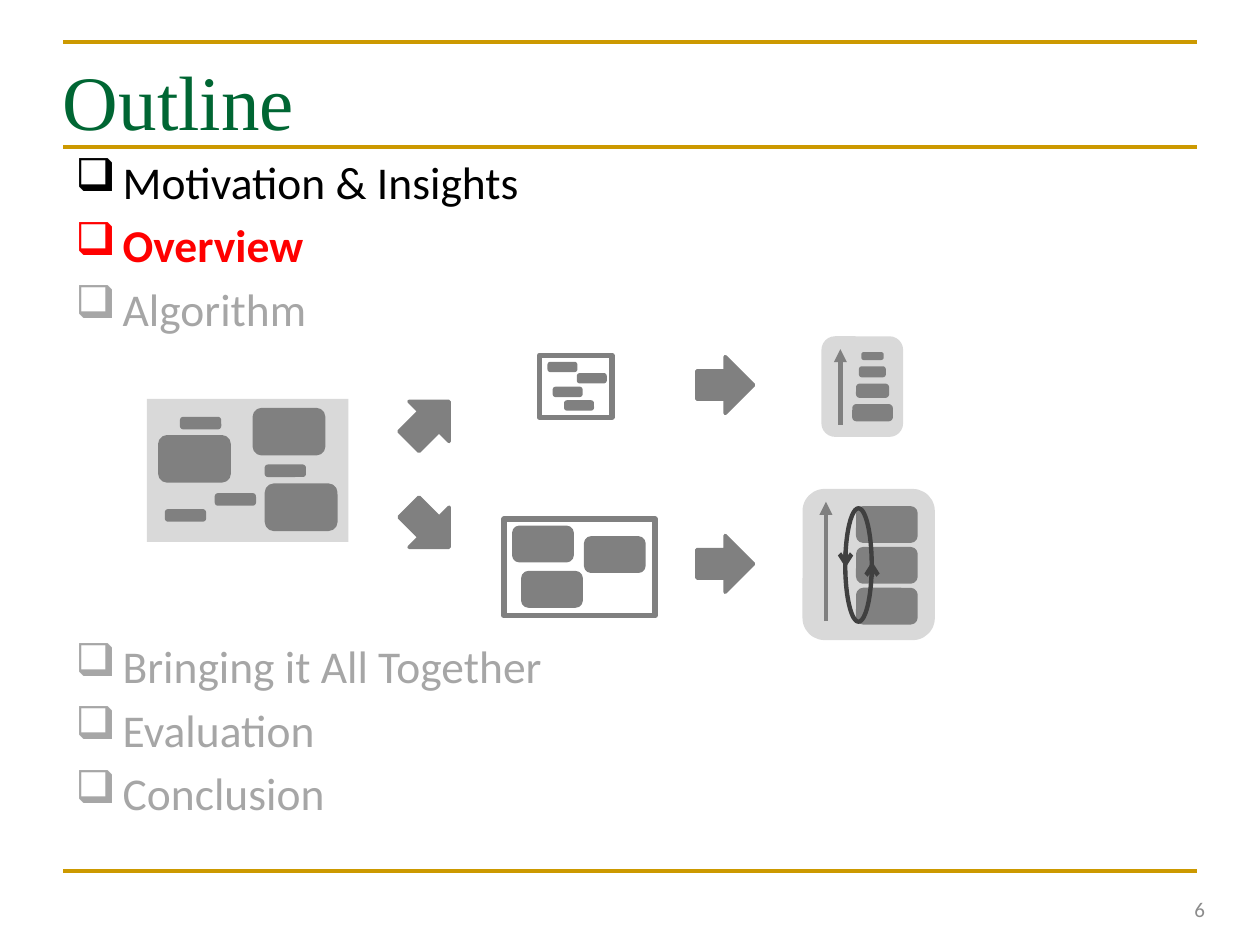
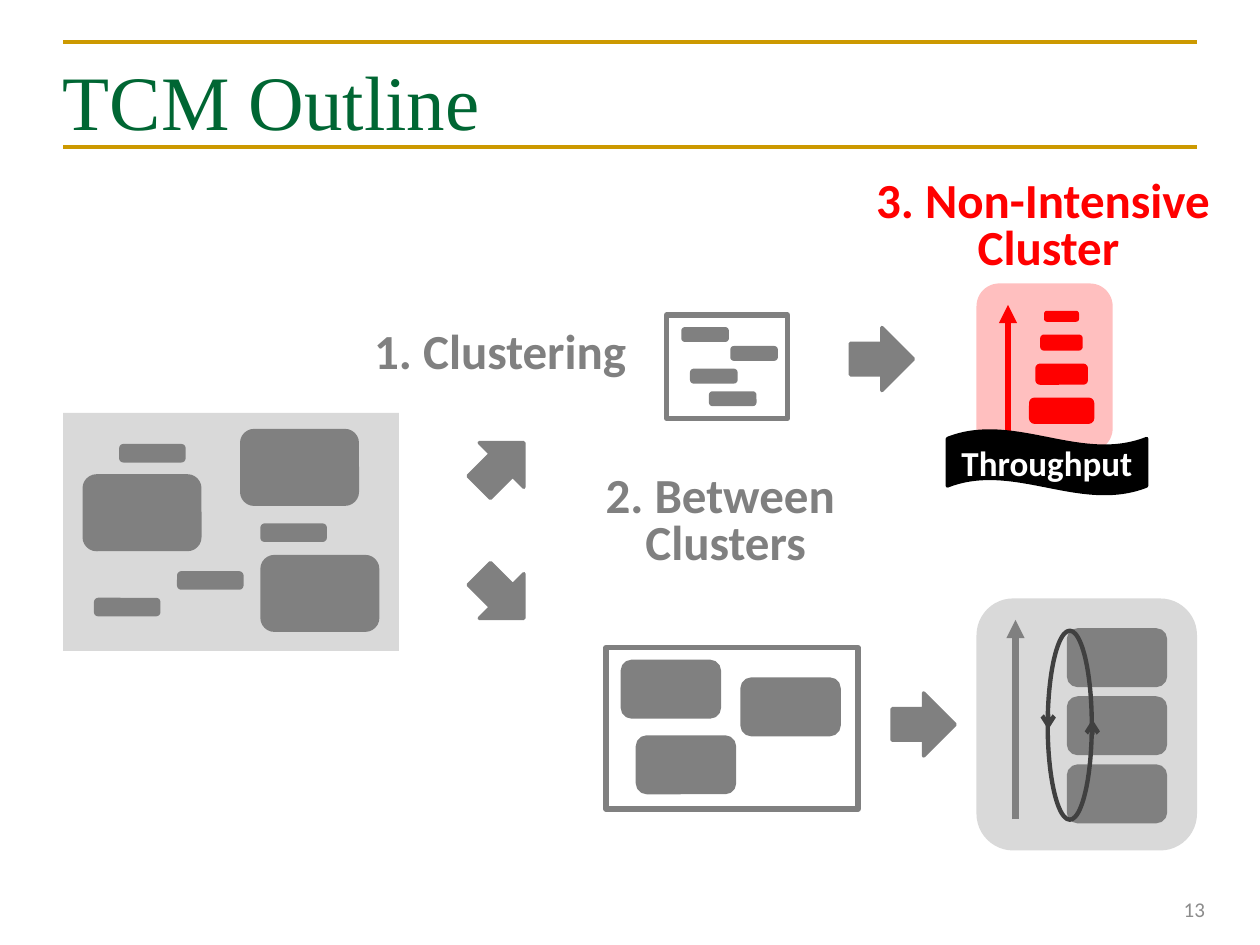
"""Build two outline slides that share one clustering diagram at two scales."""
from lxml import etree
from pptx import Presentation
from pptx.dml.color import RGBColor
from pptx.enum import shapes, text
from pptx.oxml import ns
from pptx.util import Pt

GOLD = RGBColor(0xCC, 0x99, 0x00)
GREEN = RGBColor(0x00, 0x66, 0x33)
BLACK = RGBColor(0x00, 0x00, 0x00)
WHITE = RGBColor(0xFF, 0xFF, 0xFF)
RED = RGBColor(0xFF, 0x00, 0x00)
GRAY = RGBColor(0x80, 0x80, 0x80)
DARK = RGBColor(0x40, 0x40, 0x40)
PANEL = RGBColor(0xD9, 0xD9, 0xD9)
MUTED = RGBColor(0xA6, 0xA6, 0xA6)
PAGE = RGBColor(0x8C, 0x8C, 0x8C)

KIND = shapes.MSO_SHAPE
LEFT, CENTER, RIGHT = text.PP_ALIGN.LEFT, text.PP_ALIGN.CENTER, text.PP_ALIGN.RIGHT
MIDDLE = text.MSO_ANCHOR.MIDDLE

SMALL_MIXED = [(66.2, 91.4), (33.1, 18.7), (113.8, 64.1), (18.7, 106.6)]
BIG_MIXED = [(113.8, 82.1), (12.2, 36), (102.2, 10.1)]
LIGHT_JOBS = [(9.4, 7.9), (14.4, 31.7), (37.4, 18.7), (25.2, 44.6)]
HEAVY_JOBS = [(9.4, 7.9), (77.8, 18), (18, 51.1)]
LIGHT_RANKS = [(39.6, 16.6, 18, 4.3), (37.4, 30.2, 22.3, 7.2),
               (34.6, 46.8, 28.1, 10.1), (31, 66.2, 35.3, 13)]
HEAVY_SIZE = (55.4, 31.7)


def sub(parent, tag, **attrs):
    """Append a DrawingML element to a parent."""
    return etree.SubElement(parent, ns.qn(tag), attrs)


def write(tf, line, size, color, font="Calibri", bold=False, align=LEFT,
          before=0, spacing=None, bullet=None, indent=27):
    """Add one formatted paragraph to a text frame."""
    p = tf.paragraphs[0] if not tf.text else tf.add_paragraph()
    if bullet:
        pPr = p._p.get_or_add_pPr()
        pPr.set("marL", str(Pt(indent)))
        pPr.set("indent", str(-Pt(indent)))
        sub(pPr, "a:buChar", char=bullet)
    p.alignment = align
    if before:
        p.space_before = Pt(before)
    if spacing:
        p.line_spacing = spacing
    r = p.add_run()
    r.text = line
    r.font.name, r.font.size, r.font.bold = font, Pt(size), bold
    r.font.color.rgb = color


class Deck:
    """Hold the shared style, the current slide and the drawing origin."""

    def __init__(self):
        """Start a 720 by 540 point presentation."""
        self.prs = Presentation()
        self.prs.slide_width, self.prs.slide_height = Pt(720), Pt(540)

    def slide(self, title, number, rules):
        """Add a slide with its title, gold rules and page number."""
        self.s = self.prs.slides.add_slide(self.prs.slide_layouts[6])
        self.canvas = self.s.shapes
        self.origin(0, 0)
        for y in rules:
            self.line(36, y, 684, y, GOLD, 2.25)
        tf = self.text(36, 21.6, 648, 62.6, MIDDLE)
        tf.margin_left = tf.margin_right = tf.margin_bottom = 0
        tf.margin_top = Pt(8)
        write(tf, title, 44, GREEN, font="Times New Roman")
        tf = self.text(527.8, 505.4, 167.8, 28.8, MIDDLE)
        write(tf, number, 12, PAGE, align=RIGHT)

    def origin(self, x, y, scale=1):
        """Place and scale what is drawn next."""
        self.x, self.y, self.scale = x, y, scale

    def at(self, x, y):
        """Turn local coordinates into slide lengths."""
        return Pt(self.x + x * self.scale), Pt(self.y + y * self.scale)

    def text(self, x, y, w, h, anchor=text.MSO_ANCHOR.TOP, wrap=True):
        """Add a text box and return its frame."""
        tf = self.s.shapes.add_textbox(Pt(x), Pt(y), Pt(w), Pt(h)).text_frame
        tf.word_wrap, tf.vertical_anchor = wrap, anchor
        return tf

    def label(self, x, y, w, h, lines, color):
        """Add a bold centred step label."""
        tf = self.text(x, y, w, h, wrap=False)
        for line in lines:
            write(tf, line, 28, color, bold=True, align=CENTER, spacing=0.8)

    def box(self, kind, x, y, w, h, fill=None, line=None, width=2, rotation=0, alpha=None):
        """Add a preset shape."""
        sp = self.canvas.add_shape(kind, *self.at(x, y), Pt(w * self.scale), Pt(h * self.scale))
        sp.shadow.inherit = False
        sp.rotation = rotation
        if fill is None:
            sp.fill.background()
        else:
            sp.fill.solid()
            sp.fill.fore_color.rgb = fill
        if alpha:
            clr = sp._element.spPr.find(ns.qn("a:solidFill"))[0]
            sub(clr, "a:alpha", val=str(alpha * 1000))
        if line is None:
            sp.line.fill.background()
        else:
            sp.line.color.rgb, sp.line.width = line, Pt(width)
        return sp

    def job(self, x, y, w, h, color=GRAY):
        """Add one rounded block."""
        self.box(KIND.ROUNDED_RECTANGLE, x, y, w, h, color, color)

    def line(self, x1, y1, x2, y2, color, width, arrow=None):
        """Add a straight line, with an optional arrowhead at its end."""
        c = self.canvas.add_connector(shapes.MSO_CONNECTOR.STRAIGHT,
                                      *self.at(x1, y1), *self.at(x2, y2))
        c.line.color.rgb, c.line.width = color, Pt(width)
        if arrow:
            sub(c.line._get_or_add_ln(), "a:tailEnd", type=arrow)
        sub(c._element.spPr, "a:effectLst")

    def arrows(self, size, places):
        """Add the block arrows between the stages."""
        self.origin(0, 0)
        for x, y, rotation in places:
            self.box(KIND.RIGHT_ARROW, x, y, size, size, GRAY, GRAY, rotation=rotation)

    def mixed(self, x, y, scale):
        """Draw the panel of unsorted jobs."""
        self.origin(x, y, scale)
        self.box(KIND.RECTANGLE, 0, 0, 192, 136, PANEL)
        for place in SMALL_MIXED:
            self.job(*place, 36, 8.6)
        for place in BIG_MIXED:
            self.job(*place, 66, 42)

    def cluster(self, x, y, scale, w, h, jobs, size):
        """Draw a framed group of equal jobs."""
        self.origin(x, y, scale)
        self.canvas = self.s.shapes.add_group_shape().shapes
        self.box(KIND.RECTANGLE, 0, 0, w, h, line=GRAY, width=3)
        for place in jobs:
            self.job(*place, *size)
        self.canvas = self.s.shapes

    def light_ranking(self, x, y, scale, weight, color=GRAY, panel=PANEL, alpha=None):
        """Draw the ranked non-intensive cluster."""
        self.origin(x, y, scale)
        self.box(KIND.ROUNDED_RECTANGLE, 0, 0, 77.8, 95.8, panel, alpha=alpha)
        for rank in LIGHT_RANKS:
            self.job(*rank, color)
        self.line(18, 84.2, 18, 12.2, color, weight, "triangle")

    def heavy_ranking(self, x, y, scale, weight):
        """Draw the shuffled intensive cluster."""
        self.origin(x, y, scale)
        self.box(KIND.ROUNDED_RECTANGLE, 0, 0, 126, 144, PANEL)
        for i in range(3):
            self.job(52.6, 18 + 38.9 * i, *HEAVY_SIZE)
        self.line(22.3, 126, 22.3, 12.2, GRAY, weight, "triangle")
        self.box(KIND.OVAL, -0.7, 59.8, 108, 25.2, line=DARK, width=2.5, rotation=270)
        self.line(41, 69.1, 41, 74.9, DARK, 2.5, "arrow")
        self.line(66.2, 74.9, 66.2, 69.1, DARK, 2.5, "arrow")

    def stages(self, scale, mixed, heavy, light):
        """Draw the jobs and the two clusters they are split into."""
        self.mixed(*mixed, scale)
        self.cluster(*heavy, scale, 144, 92.2, HEAVY_JOBS, HEAVY_SIZE)
        self.cluster(*light, scale, 69.1, 59, LIGHT_JOBS, (25.2, 6.5))


def outline(deck):
    """Build the agenda slide."""
    deck.slide("Outline", "6", (24.1, 83.9, 497.9))
    tf = deck.text(36, 84.2, 648, 414)
    for line, color, before in [("Motivation & Insights", BLACK, 0),
                                ("Overview", RED, 5.2),
                                ("Algorithm", MUTED, 5.2),
                                ("Bringing it All Together", MUTED, 172.9),
                                ("Evaluation", MUTED, 5.2),
                                ("Conclusion", MUTED, 5.2)]:
        write(tf, line, 26, color, bold=color == RED, before=before, bullet="❑")
    deck.stages(0.6, (84, 228), (288, 296.6), (308.2, 203))
    deck.light_ranking(469.4, 192.2, 0.6, 2.5)
    deck.heavy_ranking(458.6, 279.4, 0.6, 2.5)
    deck.arrows(32.4, [(229, 224.6, 315), (229, 285.1, 45), (398.2, 203.8, 0), (398.2, 306, 0)])


def tcm_outline(deck):
    """Build the slide that highlights the third step."""
    deck.slide("TCM Outline", "13", (24.1, 83.9))
    deck.stages(1, (36, 236), (346.3, 370.1), (380.9, 180))
    deck.light_ranking(558, 162, 1, 3.5, RED, RED, 25)
    deck.heavy_ranking(558, 342, 1, 3.5)
    deck.arrows(36, [(268.6, 247.7, 315), (268.6, 322.6, 45), (486, 187.2, 0), (509.8, 396, 0)])
    deck.label(205.2, 185.8, 161.3, 35.3, ["1. Clustering"], GRAY)
    deck.label(337.7, 268.6, 154, 61.2, ["2. Between ", "Clusters"], GRAY)
    deck.label(491.8, 100, 214.6, 61.2, ["3. Non-Intensive ", "Cluster"], RED)
    tf = deck.box(KIND.WAVE, 541.4, 246.2, 113.8, 36, BLACK, BLACK).text_frame
    tf.word_wrap, tf.vertical_anchor = False, MIDDLE
    write(tf, "Throughput", 20, WHITE, bold=True, align=CENTER)


def main():
    """Build and save the presentation."""
    deck = Deck()
    outline(deck)
    tcm_outline(deck)
    deck.prs.save("out.pptx")


if __name__ == "__main__":
    main()
